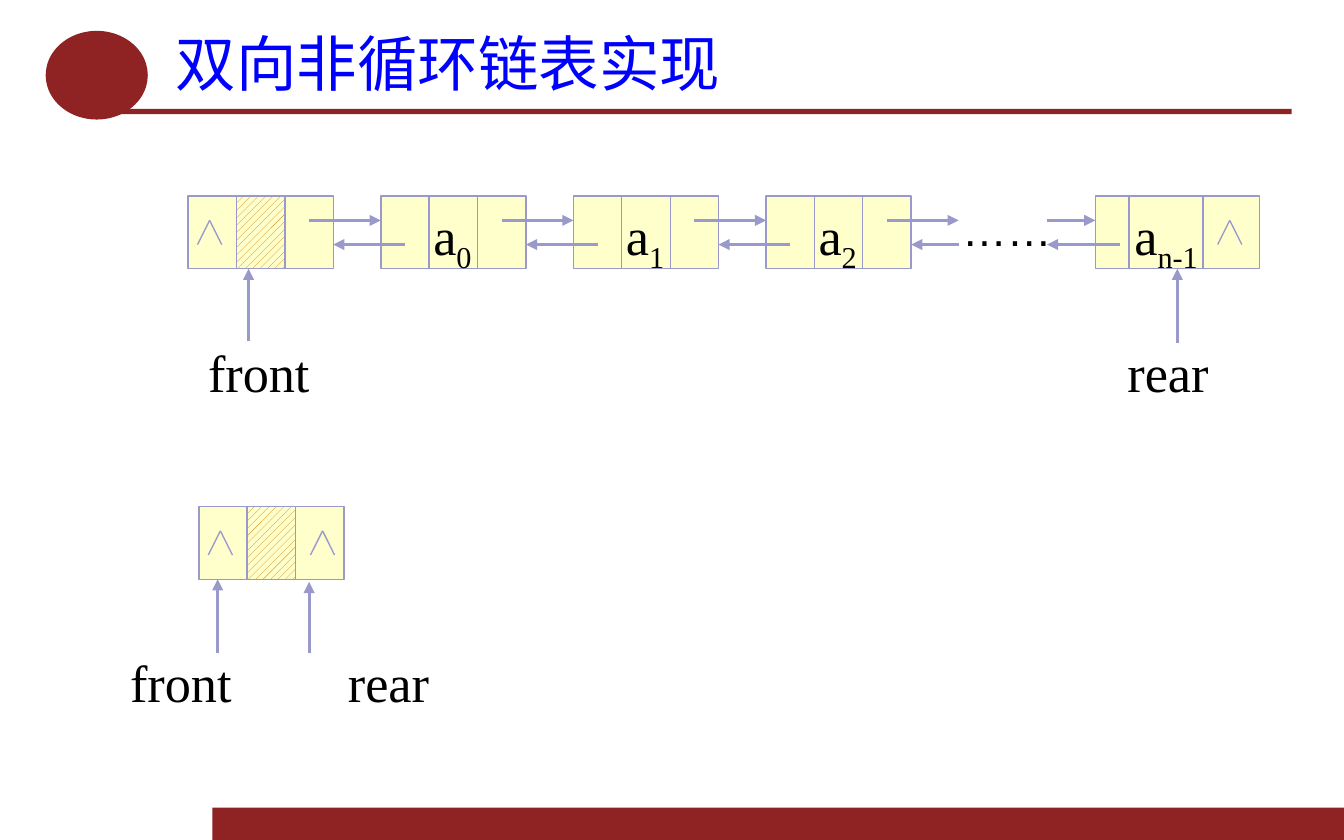
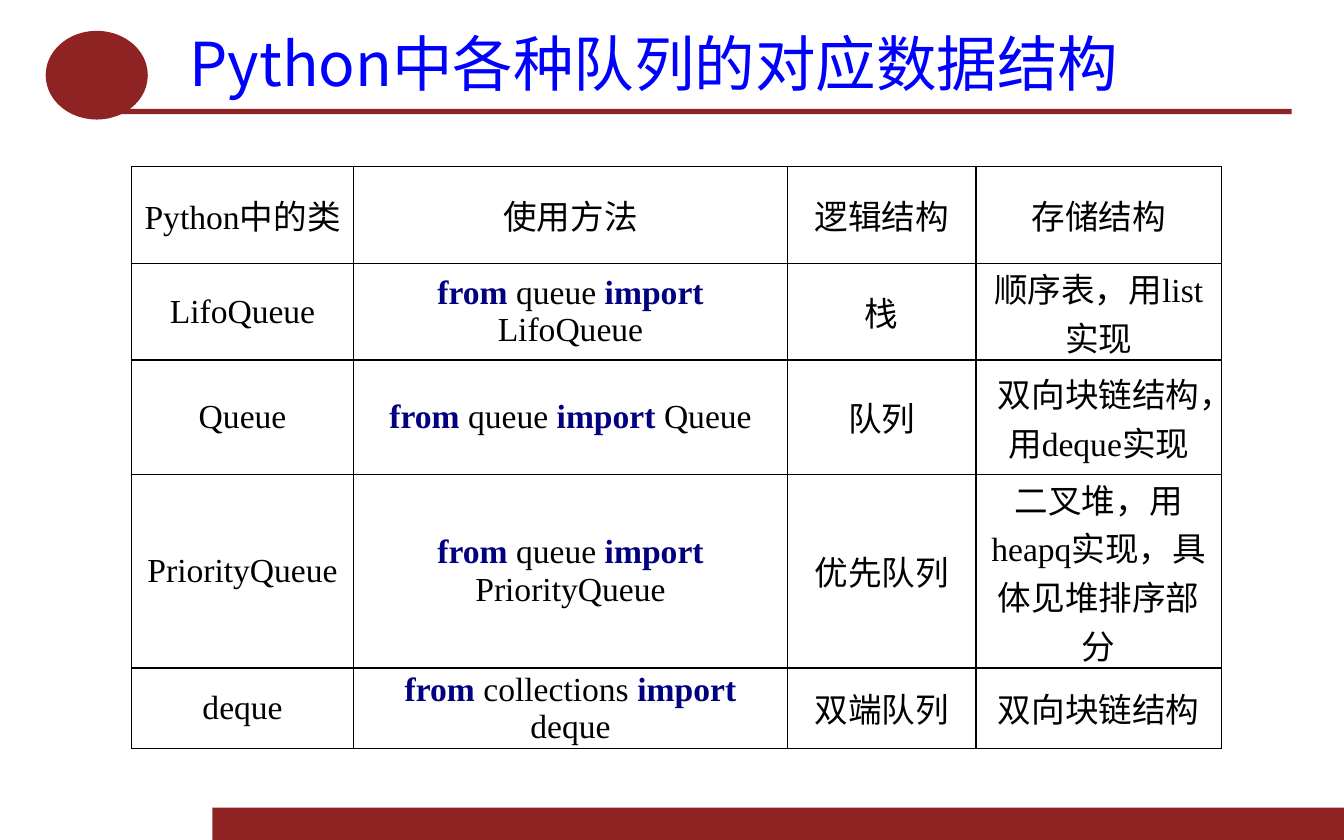
from lxml.etree import SubElement
from pptx import Presentation
from pptx.dml.color import RGBColor
from pptx.enum.dml import MSO_PATTERN
from pptx.enum.shapes import MSO_CONNECTOR, MSO_SHAPE
from pptx.enum.text import MSO_ANCHOR, PP_ALIGN
from pptx.oxml.ns import qn
from pptx.util import Inches, Pt

COLORS = {
    "brand": "8F2222", "title": "0000FF", "text": "000000", "keyword": "000080",
    "cell": "FFFFCC", "line": "9999CC", "hatch": "D07E06",
}
CJK, SERIF, SANS = "Noto Sans CJK SC", "Times New Roman", "Arial"

# Linked-list measures, in inches
CELL_W, NODE_W, NODE_H = 0.36, 1.08, 0.54
PITCH = 4.3 / 3
NEXT_Y, PREV_Y = 0.18, 0.36

QUEUE_COLUMNS = [1.65, 3.23, 1.4, 1.83]
QUEUE_ROWS = [0.72, 0.72, 0.85, 1.44, 0.57]
QUEUE_HEADER = ["Python中的类", "使用方法", "逻辑结构", "存储结构"]
# Class, module, logical structure, storage structure
QUEUE_CLASSES = [
    ("LifoQueue", "queue", "栈", "顺序表，用list实现"),
    ("Queue", "queue", "队列", "双向块链结构，用deque实现"),
    ("PriorityQueue", "queue", "优先队列", "二叉堆，用heapq实现，具体见堆排序部分"),
    ("deque", "collections", "双端队列", "双向块链结构"),
]


def rgb(name):
    return RGBColor.from_string(COLORS[name])


def box(left, top, width, height):
    return [Inches(value) for value in (left, top, width, height)]


def set_font(paragraph, size, color="text", latin=SERIF):
    font = paragraph.font
    font.size, font.name = Pt(size), latin
    font.color.rgb = rgb(color)
    defaults = paragraph._p.get_or_add_pPr().get_or_add_defRPr()
    SubElement(defaults, qn("a:ea"), typeface=CJK)


def set_margins(frame, left, top, right, bottom):
    frame.margin_left, frame.margin_top = Inches(left), Inches(top)
    frame.margin_right, frame.margin_bottom = Inches(right), Inches(bottom)


def add_block(slide, area, fill, line=None, kind=MSO_SHAPE.RECTANGLE):
    block = slide.shapes.add_shape(kind, *box(*area))
    block.shadow.inherit = False
    block.fill.solid()
    block.fill.fore_color.rgb = rgb(fill)
    if line:
        block.line.color.rgb = rgb(line)
        block.line.width = Pt(0.75)
    else:
        block.line.fill.background()
    return block


def add_line(slide, x1, y1, x2, y2, width=0.75):
    line = slide.shapes.add_connector(
        MSO_CONNECTOR.STRAIGHT, *box(x1, y1, x2, y2))
    line.line.color.rgb = rgb("line")
    line.line.width = Pt(width)
    SubElement(line._element.spPr, qn("a:effectLst"))
    return line


def add_arrow(slide, x1, y1, x2, y2):
    arrow = add_line(slide, x1, y1, x2, y2, 1.5)
    SubElement(arrow.line._get_or_add_ln(), qn("a:tailEnd"), type="triangle")
    return arrow


def add_label(slide, text, left, top, width, height=0.57, size=28, latin=SERIF):
    frame = slide.shapes.add_textbox(*box(left, top, width, height)).text_frame
    set_margins(frame, 0.1, 0.05, 0.1, 0.05)
    paragraph = frame.paragraphs[0]
    paragraph.text = text
    set_font(paragraph, size, latin=latin)


def add_frame(slide, title, indent=0.0):
    # Footer band, title rule and badge
    add_block(slide, (1.58, 6.01, 8.42, 0.24), "brand")
    add_block(slide, (0.89, 0.81, 8.72, 0.04), "brand")
    add_block(slide, (0.34, 0.23, 0.76, 0.66), "brand", kind=MSO_SHAPE.OVAL)
    # Title
    frame = slide.shapes.add_textbox(*box(1.21, 0.17, 8.39, 0.59)).text_frame
    frame.word_wrap = True
    frame.vertical_anchor = MSO_ANCHOR.MIDDLE
    set_margins(frame, 0.1 + indent, 0.05, 0.1, 0.05)
    paragraph = frame.paragraphs[0]
    paragraph.text = title
    paragraph.alignment = PP_ALIGN.JUSTIFY
    set_font(paragraph, 32.4, "title", CJK)


def add_null_mark(slide, center, top):
    for side in (-0.09, 0.09):
        add_line(slide, center, top + NEXT_Y, center + side, top + PREV_Y)


def add_node(slide, left, top, index, width=NODE_W,
             dividers=(CELL_W, 2 * CELL_W), indent=0.39):
    node = add_block(slide, (left, top, width, NODE_H), "cell", "line")
    frame = node.text_frame
    frame.vertical_anchor = MSO_ANCHOR.TOP
    set_margins(frame, indent, 0.05, 0, 0)
    paragraph = frame.paragraphs[0]
    paragraph.alignment = PP_ALIGN.LEFT
    paragraph.add_run().text = "a"
    subscript = paragraph.add_run()
    subscript.text = index
    subscript._r.get_or_add_rPr().set("baseline", "-25000")
    set_font(paragraph, 28)
    for divider in dividers:
        add_line(slide, left + divider, top, left + divider, top + NODE_H)
    return node


def add_head_node(slide, left, top):
    for position in (0, 2, 1):
        cell = add_block(slide, (left + position * CELL_W, top, CELL_W, NODE_H),
                         "cell", "line")
    # The middle cell holds no data
    cell.fill.patterned()
    cell.fill.pattern = MSO_PATTERN.WIDE_UPWARD_DIAGONAL
    cell.fill.fore_color.rgb = rgb("hatch")
    cell.fill.back_color.rgb = rgb("cell")
    add_null_mark(slide, left + 0.16, top)


def add_filled_list(slide, left, top):
    bottom = top + NODE_H
    next_y, prev_y = top + NEXT_Y, top + PREV_Y
    # Head node, first elements and last element
    add_head_node(slide, left, top)
    for number in range(3):
        add_node(slide, left + (number + 1) * PITCH, top, str(number))
    last = left + 6.75
    last_node = add_node(slide, last, top, "n-1", 1.22, (0.25, 0.8), 0.29)
    add_null_mark(slide, last + 1, top)

    # Links in both directions
    for number in range(4):
        node = left + number * PITCH
        following = node + PITCH
        overlap = CELL_W / 2 if number < 3 else 0
        add_arrow(slide, node + 2.5 * CELL_W, next_y, following, next_y)
        add_arrow(slide, following + overlap, prev_y, node + NODE_W, prev_y)
    add_label(slide, "……", left + 5.66, top - 0.01, 0.88, 0.5, 24, SANS)
    add_arrow(slide, last - CELL_W, next_y, last, next_y)
    add_arrow(slide, last + CELL_W / 2, prev_y, last - CELL_W, prev_y)

    # Front and rear pointers
    add_arrow(slide, left + 0.45, bottom + 0.54, left + 0.45, bottom)
    add_label(slide, "front", left + 0.05, top + 1.02, 0.97)
    rear = add_arrow(slide, last + 0.61, bottom + 0.55, last + 0.61, bottom)
    rear.end_connect(last_node, 2)
    add_label(slide, "rear", left + 6.89, top + 1.02, 0.81)


def add_empty_list(slide, left, top):
    bottom = top + NODE_H
    add_head_node(slide, left, top)
    add_null_mark(slide, left + 0.92, top)
    # Front and rear pointers
    for name, pointer, gap, label, width in (
            ("front", 0.14, 0, -0.61, 0.97), ("rear", 0.82, 0.02, 1.01, 0.81)):
        x = left + pointer
        add_arrow(slide, x, bottom + 0.55, x, bottom + gap)
        add_label(slide, name, left + label, top + 1.02, width)


def fill_cell(cell, parts):
    """Fill a cell from (text, is_keyword) pairs."""
    cell.vertical_anchor = MSO_ANCHOR.MIDDLE
    set_margins(cell, 0.07, 0, 0.07, 0)
    paragraph = cell.text_frame.paragraphs[0]
    paragraph.alignment = PP_ALIGN.CENTER
    set_font(paragraph, 18)
    for text, is_keyword in parts:
        run = paragraph.add_run()
        run.text = text
        if is_keyword:
            run.font.bold = True
            run.font.color.rgb = rgb("keyword")
    # Borders come before the fill
    properties = cell._tc.get_or_add_tcPr()
    for side in ("lnL", "lnR", "lnT", "lnB"):
        border = SubElement(properties, qn(f"a:{side}"), w=str(Pt(1)))
        solid = SubElement(border, qn("a:solidFill"))
        SubElement(solid, qn("a:srgbClr"), val=COLORS["text"])
    cell.fill.background()


def add_queue_table(slide, left, top):
    table = slide.shapes.add_table(
        len(QUEUE_ROWS), len(QUEUE_COLUMNS),
        *box(left, top, sum(QUEUE_COLUMNS), sum(QUEUE_ROWS))).table
    table.first_row = table.horz_banding = False
    for column, width in zip(table.columns, QUEUE_COLUMNS):
        column.width = Inches(width)
    for row, height in zip(table.rows, QUEUE_ROWS):
        row.height = Inches(height)

    contents = [[[(text, False)] for text in QUEUE_HEADER]]
    for name, module, logical, storage in QUEUE_CLASSES:
        usage = [("from ", True), (f"{module} ", False),
                 ("import ", True), (name, False)]
        contents.append(
            [[(name, False)], usage, [(logical, False)], [(storage, False)]])
    for row, row_contents in zip(table.rows, contents):
        for cell, parts in zip(row.cells, row_contents):
            fill_cell(cell, parts)


def main():
    deck = Presentation()
    deck.slide_width, deck.slide_height = Inches(10), Inches(6.25)
    blank = deck.slide_layouts[6]

    list_slide = deck.slides.add_slide(blank)
    add_frame(list_slide, "双向非循环链表实现")
    add_filled_list(list_slide, 1.4, 1.46)
    add_empty_list(list_slide, 1.48, 3.77)

    queue_slide = deck.slides.add_slide(blank)
    add_frame(queue_slide, "Python中各种队列的对应数据结构", indent=0.1)
    add_queue_table(queue_slide, 0.98, 1.24)

    deck.save("out.pptx")


if __name__ == "__main__":
    main()
